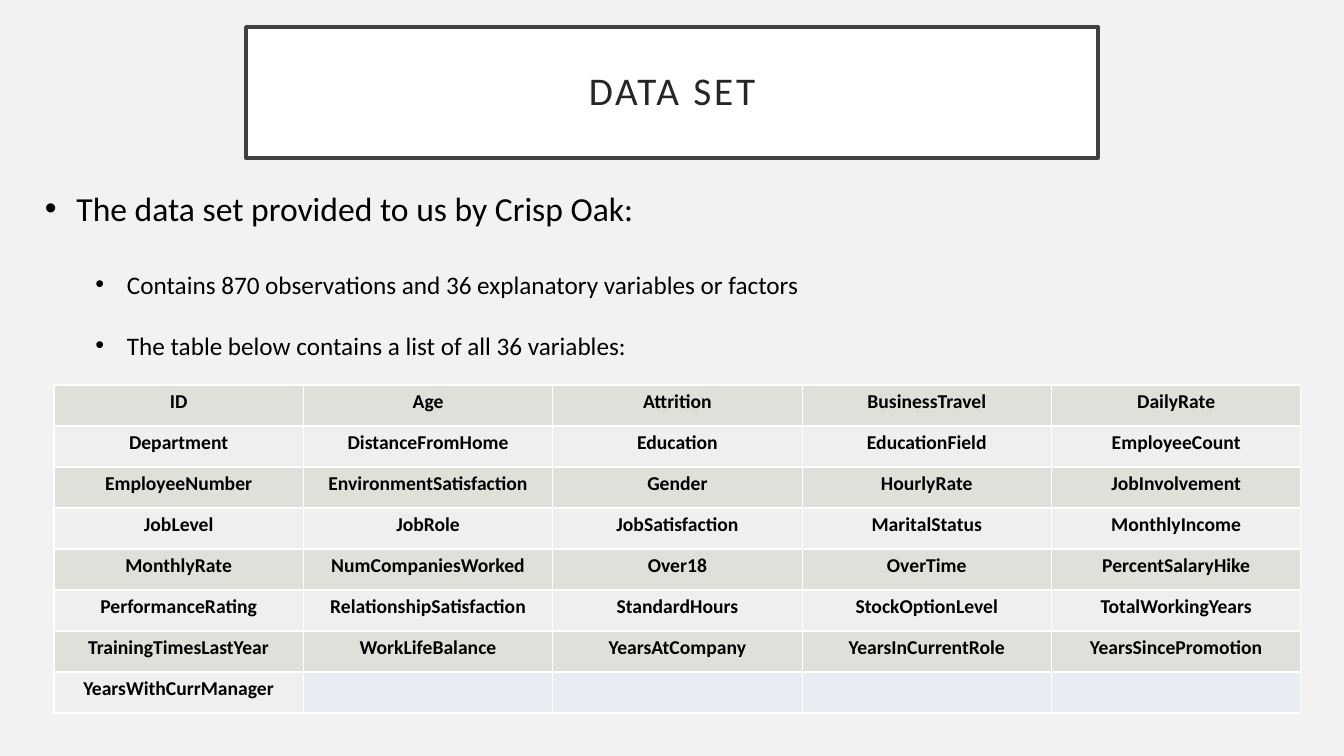
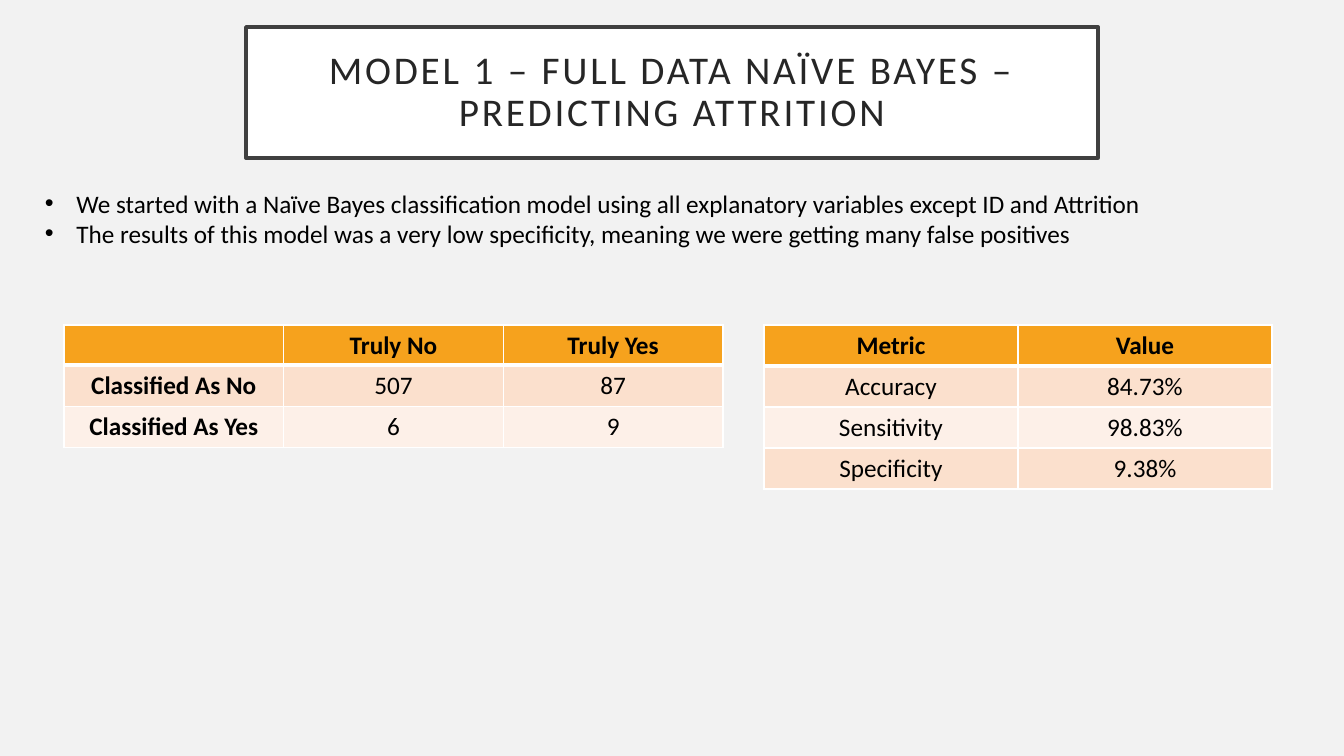
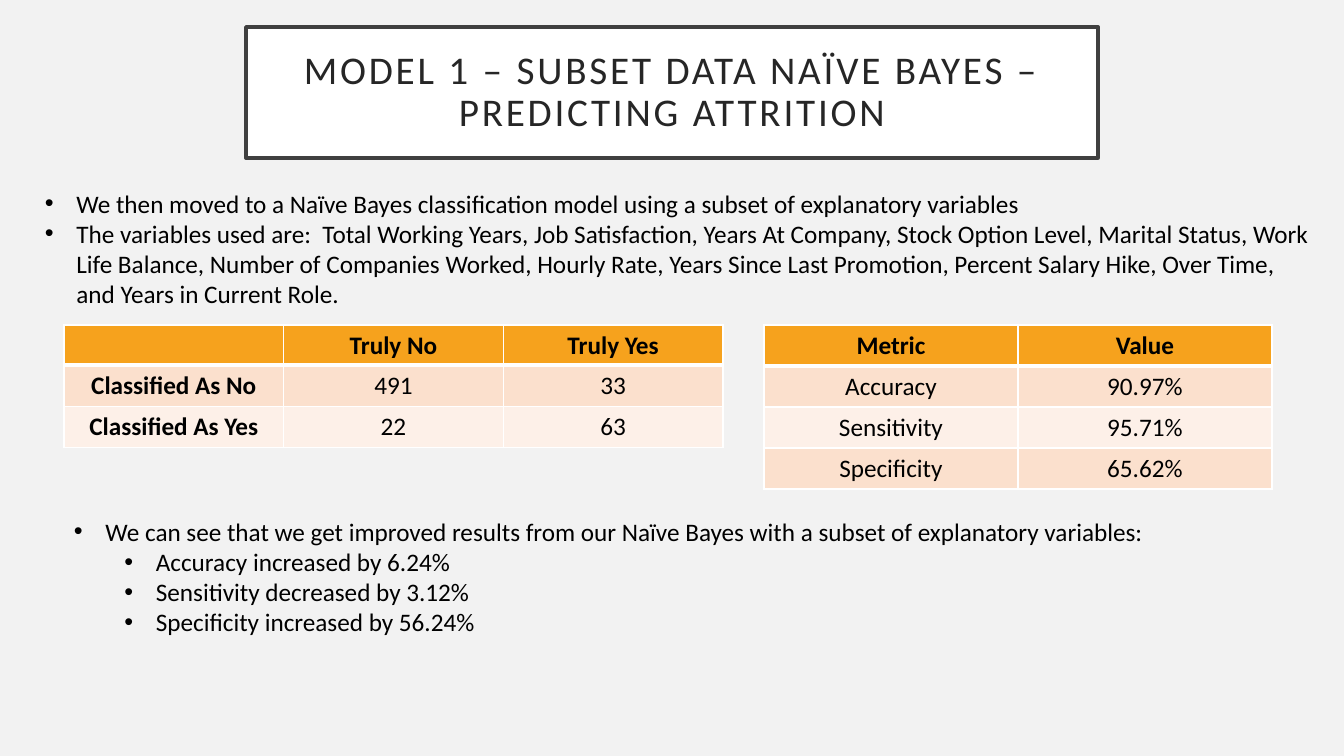
import dataclasses

import lxml.etree
import pptx
import pptx.dml.color
import pptx.enum.shapes
import pptx.enum.text
import pptx.oxml.ns
import pptx.util

EMU_PER_PX = 914400 / 100.8


@dataclasses.dataclass(frozen=True)
class Theme:
    font: str = "Calibri"
    background: str = "F2F2F2"
    white: str = "FFFFFF"
    text: str = "000000"
    title_text: str = "262626"
    title_line: str = "404040"
    header: str = "F6A21D"
    orange_bands: tuple = ("FBE0CD", "FDF0E8")
    grey_bands: tuple = ("DEE0D9", "EFF0ED")
    title_size: int = 28
    lead_size: int = 24
    body_size: int = 18
    small_size: int = 14


THEME = Theme()

# Boxes are left, top, width, height in px
TITLE_BOX = (246, 27, 852, 131)
BODY_BOX = (35, 183, 1285, 132)
VARIABLES_BOX = (54, 385, 1247, 328)
CONFUSION_BOX = (64, 325, 659, 121)
METRICS_BOX = (764, 325, 508, 164)
FINDINGS_BOX = (64, 511, 1208, 163)


@dataclasses.dataclass(frozen=True)
class Bullet:
    text: str
    level: int = 0
    size: int = THEME.body_size
    gap: int = 0


VARIABLES = """
ID Age Attrition BusinessTravel DailyRate
Department DistanceFromHome Education EducationField EmployeeCount
EmployeeNumber EnvironmentSatisfaction Gender HourlyRate JobInvolvement
JobLevel JobRole JobSatisfaction MaritalStatus MonthlyIncome
MonthlyRate NumCompaniesWorked Over18 OverTime PercentSalaryHike
PerformanceRating RelationshipSatisfaction StandardHours StockOptionLevel TotalWorkingYears
TrainingTimesLastYear WorkLifeBalance YearsAtCompany YearsInCurrentRole YearsSincePromotion
YearsWithCurrManager
""".split()


def px(length):
    return pptx.util.Emu(round(length * EMU_PER_PX))


def place(box):
    return [px(length) for length in box]


def color(value):
    return pptx.dml.color.RGBColor.from_string(value)


def add_element(parent, tag, **attributes):
    element = lxml.etree.SubElement(parent, pptx.oxml.ns.qn(tag))
    for name, value in attributes.items():
        element.set(name, str(value))
    return element


def add_run(paragraph, text, size, text_color=THEME.text, bold=False):
    run = paragraph.add_run()
    run.text = text
    run.font.name = THEME.font
    run.font.size = pptx.util.Pt(size)
    run.font.bold = bold
    run.font.color.rgb = color(text_color)
    return run


# Framed title
def add_title(slide, box, text):
    shape = slide.shapes.add_shape(pptx.enum.shapes.MSO_SHAPE.RECTANGLE, *place(box))
    shape.shadow.inherit = False
    shape.fill.solid()
    shape.fill.fore_color.rgb = color(THEME.white)
    shape.line.color.rgb = color(THEME.title_line)
    shape.line.width = pptx.util.Pt(2.5)
    frame = shape.text_frame
    frame.word_wrap = True
    frame.vertical_anchor = pptx.enum.text.MSO_ANCHOR.MIDDLE
    frame.margin_left = frame.margin_right = px(20)
    frame.margin_top = frame.margin_bottom = px(20)
    paragraph = frame.paragraphs[0]
    paragraph.alignment = pptx.enum.text.PP_ALIGN.CENTER
    paragraph.line_spacing = 0.9
    run = add_run(paragraph, text, THEME.title_size, THEME.title_text)
    run.font._element.set("spc", "200")


# Bulleted text
def add_bullets(slide, box, bullets):
    frame = slide.shapes.add_textbox(*place(box)).text_frame
    frame.word_wrap = True
    for index, bullet in enumerate(bullets):
        paragraph = frame.add_paragraph() if index else frame.paragraphs[0]
        paragraph.level = bullet.level
        properties = paragraph._p.get_or_add_pPr()
        properties.set("marL", str(px(31.5 + 50.5 * bullet.level)))
        properties.set("indent", str(-px(31.5)))
        add_element(properties, "a:buFont", typeface="Arial")
        add_element(properties, "a:buChar", char="•")
        if bullet.gap:
            paragraph.space_before = pptx.util.Pt(bullet.gap)
        add_run(paragraph, bullet.text, bullet.size)


def set_borders(cell, widths):
    properties = cell._tc.get_or_add_tcPr()
    for side, width in widths.items():
        line = add_element(properties, f"a:ln{side}", w=pptx.util.Pt(width))
        fill = add_element(line, "a:solidFill")
        add_element(fill, "a:srgbClr", val=THEME.white)


# Banded table with equal columns; the first row takes any spare height
def add_table(slide, box, rows, bands, size, row_height=41, header=False, bold_columns=0):
    column_count = len(rows[0])
    table = slide.shapes.add_table(len(rows), column_count, *place(box)).table
    table.first_row = table.horz_banding = False
    for column in table.columns:
        column.width = px(box[2] / column_count)
    for row in table.rows:
        row.height = px(row_height)
    table.rows[0].height = px(box[3] - row_height * (len(rows) - 1))

    for row_index, values in enumerate(rows):
        is_header = header and row_index == 0
        fill = THEME.header if is_header else bands[(row_index - header) % 2]
        below_header = header and row_index == 1
        widths = {"L": 1, "R": 1, "T": 3 if below_header else 1, "B": 3 if is_header else 1}
        for column_index, value in enumerate(values):
            cell = table.cell(row_index, column_index)
            set_borders(cell, widths)
            cell.fill.solid()
            cell.fill.fore_color.rgb = color(fill)
            if value:
                paragraph = cell.text_frame.paragraphs[0]
                paragraph.alignment = pptx.enum.text.PP_ALIGN.CENTER
                bold = is_header or column_index < bold_columns
                add_run(paragraph, value, size, bold=bold)


def add_titled_slide(presentation, title):
    slide = presentation.slides.add_slide(presentation.slide_layouts[6])
    add_title(slide, TITLE_BOX, title)
    return slide


# Data set slide
def add_data_slide(presentation):
    slide = add_titled_slide(presentation, "DATA SET")
    add_bullets(slide, BODY_BOX[:3] + (195,), [
        Bullet("The data set provided to us by Crisp Oak:", size=THEME.lead_size),
        Bullet("Contains 870 observations and 36 explanatory variables or factors", 1, gap=29),
        Bullet("The table below contains a list of all 36 variables:", 1, gap=22),
    ])
    column_count = 5
    rows = [VARIABLES[start:start + column_count]
            for start in range(0, len(VARIABLES), column_count)]
    add_table(slide, VARIABLES_BOX, rows, THEME.grey_bands, THEME.small_size,
              bold_columns=column_count)


# Model slide: bullets above a confusion matrix and its metrics
def add_model_slide(presentation, title, bullets, classified_no, classified_yes, metrics):
    slide = add_titled_slide(presentation, title)
    add_bullets(slide, BODY_BOX, bullets)
    confusion = [
        ("", "Truly No", "Truly Yes"),
        ("Classified As No", *classified_no),
        ("Classified As Yes", *classified_yes),
    ]
    add_table(slide, CONFUSION_BOX, confusion, THEME.orange_bands, THEME.body_size,
              header=True, bold_columns=1)
    names = ("Accuracy", "Sensitivity", "Specificity")
    add_table(slide, METRICS_BOX, [("Metric", "Value"), *zip(names, metrics)],
              THEME.orange_bands, THEME.body_size, header=True)
    return slide


def main():
    presentation = pptx.Presentation()
    presentation.slide_width = px(1344)
    presentation.slide_height = px(756)
    background = presentation.slide_master.background.fill
    background.solid()
    background.fore_color.rgb = color(THEME.background)

    add_data_slide(presentation)
    add_model_slide(
        presentation,
        "MODEL 1 – FULL DATA NAÏVE BAYES – PREDICTING ATTRITION",
        [
            Bullet("We started with a Naïve Bayes classification model using all "
                   "explanatory variables except ID and Attrition"),
            Bullet("The results of this model was a very low specificity, meaning "
                   "we were getting many false positives"),
        ],
        ("507", "87"), ("6", "9"), ("84.73%", "98.83%", "9.38%"),
    )
    subset_slide = add_model_slide(
        presentation,
        "MODEL 1 – SUBSET DATA NAÏVE BAYES – PREDICTING ATTRITION",
        [
            Bullet("We then moved to a Naïve Bayes classification model using a subset "
                   "of explanatory variables"),
            Bullet("The variables used are:  Total Working Years, Job Satisfaction, "
                   "Years At Company, Stock Option Level, Marital Status, Work Life Balance, "
                   "Number of Companies Worked, Hourly Rate, Years Since Last Promotion, "
                   "Percent Salary Hike, Over Time, and Years in Current Role."),
        ],
        ("491", "33"), ("22", "63"), ("90.97%", "95.71%", "65.62%"),
    )
    add_bullets(subset_slide, FINDINGS_BOX, [
        Bullet("We can see that we get improved results from our Naïve Bayes with a subset "
               "of explanatory variables:"),
        Bullet("Accuracy increased by 6.24%", 1),
        Bullet("Sensitivity decreased by 3.12%", 1),
        Bullet("Specificity increased by 56.24%", 1),
    ])
    # Pad the last row of the variable table with nothing: its cells stay empty
    presentation.save("out.pptx")


if __name__ == "__main__":
    main()
